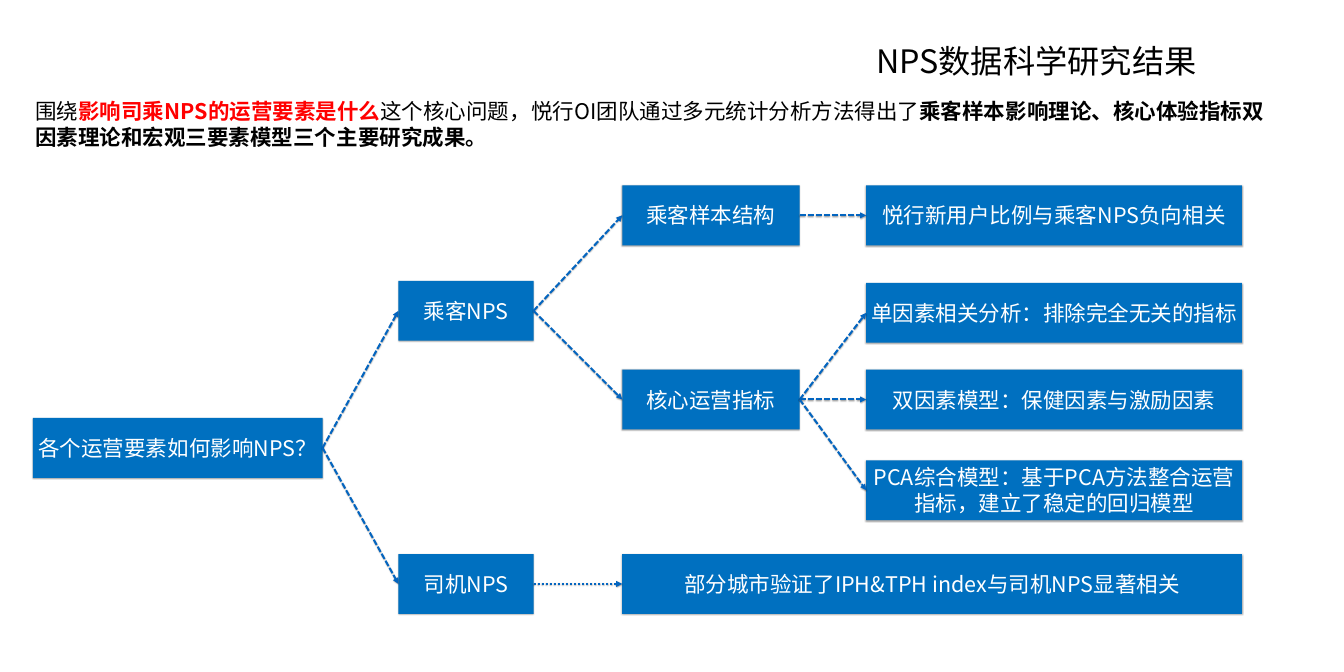
from lxml.etree import SubElement
from pptx import Presentation
from pptx.dml.color import RGBColor
from pptx.enum.dml import MSO_LINE
from pptx.enum.shapes import MSO_CONNECTOR, MSO_SHAPE
from pptx.enum.text import MSO_ANCHOR, MSO_AUTO_SIZE, PP_ALIGN
from pptx.oxml.ns import qn
from pptx.util import Pt

FONT = "Noto Sans CJK JP"
BLACK = RGBColor(0x00, 0x00, 0x00)
WHITE = RGBColor(0xFF, 0xFF, 0xFF)
RED = RGBColor(0xFF, 0x00, 0x00)
BOX_BLUE = RGBColor(0x00, 0x70, 0xC0)
LINE_BLUE = RGBColor(0x03, 0x65, 0xC0)

INSET = 3.6
BOX_HEIGHT = 89
RIGHT_SITE, LEFT_SITE = 3, 1

# Columns of the tree: offset from its left edge and box width
ROOT, SIDE, FACTOR, FINDING, WIDE = (
    (0, 431), (544, 201), (877, 264), (1240, 559), (877, 922))

# Name: (column, offset from the top of the tree, text)
NODES = {
    "root": (ROOT, 346, "各个运营要素如何影响NPS？"),
    "passenger": (SIDE, 142, "乘客NPS"),
    "driver": (SIDE, 548.5, "司机NPS"),
    "cities": (WIDE, 548.5, "部分城市验证了IPH&TPH index与司机NPS显著相关"),
    "sample": (FACTOR, 0, "乘客样本结构"),
    "metrics": (FACTOR, 274, "核心运营指标"),
    "new users": (FINDING, 0, "悦行新用户比例与乘客NPS负向相关"),
    "single": (FINDING, 145, "单因素相关分析：排除完全无关的指标"),
    "two factor": (FINDING, 274, "双因素模型：保健因素与激励因素"),
    "pca": (FINDING, 409, "PCA综合模型：基于PCA方法整合运营指标，建立了稳定的回归模型"),
}

BRANCHES = {
    "root": ("passenger", "driver"),
    "passenger": ("sample", "metrics"),
    "sample": ("new users",),
    "metrics": ("single", "two factor", "pca"),
    "driver": ("cities",),
}

INTRO = (
    ("围绕", BLACK, False),
    ("影响司乘NPS的运营要素是什么", RED, True),
    ("这个核心问题，悦行OI团队通过多元统计分析方法得出了", BLACK, False),
    ("乘客样本影响理论、核心体验指标双因素理论和宏观三要素模型三个主要研究成果。",
     BLACK, True),
)


def add_run(p, text, size=32, color=BLACK, bold=False):
    r = p.add_run()
    r.text = text
    r.font.name = FONT
    r.font.size = Pt(size)
    r.font.bold = bold
    r.font.color.rgb = color
    SubElement(r.font._element, qn("a:ea"), typeface=FONT)


def set_frame(sp, anchor=MSO_ANCHOR.TOP, align=PP_ALIGN.LEFT):
    """Set margins, wrapping and alignment; return the first paragraph."""
    tf = sp.text_frame
    tf.word_wrap = True
    tf.auto_size = MSO_AUTO_SIZE.NONE
    tf.vertical_anchor = anchor
    tf.margin_left = tf.margin_right = Pt(INSET)
    tf.margin_top = tf.margin_bottom = Pt(INSET)
    p = tf.paragraphs[0]
    p.alignment = align
    return p


def add_shadow(sp, opacity):
    effects = SubElement(sp.element.spPr, qn("a:effectLst"))
    shadow = SubElement(effects, qn("a:outerShdw"), blurRad=str(Pt(2)),
                        dist=str(Pt(1)), dir="5400000", rotWithShape="0")
    color = SubElement(shadow, qn("a:srgbClr"), val=str(BLACK))
    SubElement(color, qn("a:alpha"), val=str(opacity * 1000))


def add_title(slide, left, top, width, height):
    sp = slide.shapes.title
    sp.left, sp.top, sp.width, sp.height = map(Pt, (left, top, width, height))
    add_run(set_frame(sp), "NPS数据科学研究结果", size=48)


def add_intro(slide, left, top, width, height):
    sp = slide.shapes.add_textbox(*map(Pt, (left, top, width, height)))
    p = set_frame(sp)
    for text, color, bold in INTRO:
        add_run(p, text, color=color, bold=bold)


def add_node(slide, left, top, width, text):
    sp = slide.shapes.add_shape(
        MSO_SHAPE.RECTANGLE, *map(Pt, (left, top, width, BOX_HEIGHT)))
    sp.fill.solid()
    sp.fill.fore_color.rgb = BOX_BLUE
    sp.line.fill.background()
    add_shadow(sp, 35)
    add_run(set_frame(sp, MSO_ANCHOR.MIDDLE, PP_ALIGN.CENTER), text, color=WHITE)
    return sp


def add_arrow(slide, start, end, dash):
    c = slide.shapes.add_connector(MSO_CONNECTOR.STRAIGHT, 0, 0, 0, 0)
    c.begin_connect(start, RIGHT_SITE)
    c.end_connect(end, LEFT_SITE)
    c.line.color.rgb = LINE_BLUE
    c.line.width = Pt(3)
    c.line.dash_style = dash
    SubElement(c.element.spPr.find(qn("a:ln")), qn("a:tailEnd"), type="triangle")
    add_shadow(c, 38)


def add_tree(slide, left, top):
    boxes = {name: add_node(slide, left + x, top + y, width, text)
             for name, ((x, width), y, text) in NODES.items()}
    for parent, children in BRANCHES.items():
        dash = MSO_LINE.ROUND_DOT if parent == "driver" else MSO_LINE.SQUARE_DOT
        for child in children:
            add_arrow(slide, boxes[parent], boxes[child], dash)


def main():
    prs = Presentation()
    prs.slide_width, prs.slide_height = Pt(2000), Pt(1000)
    slide = prs.slides.add_slide(prs.slide_layouts[5])
    add_title(slide, 1300, 57.6, 700, 67)
    add_intro(slide, 49, 142, 1848, 84)
    add_tree(slide, 49, 276)
    prs.save("out.pptx")


if __name__ == "__main__":
    main()
